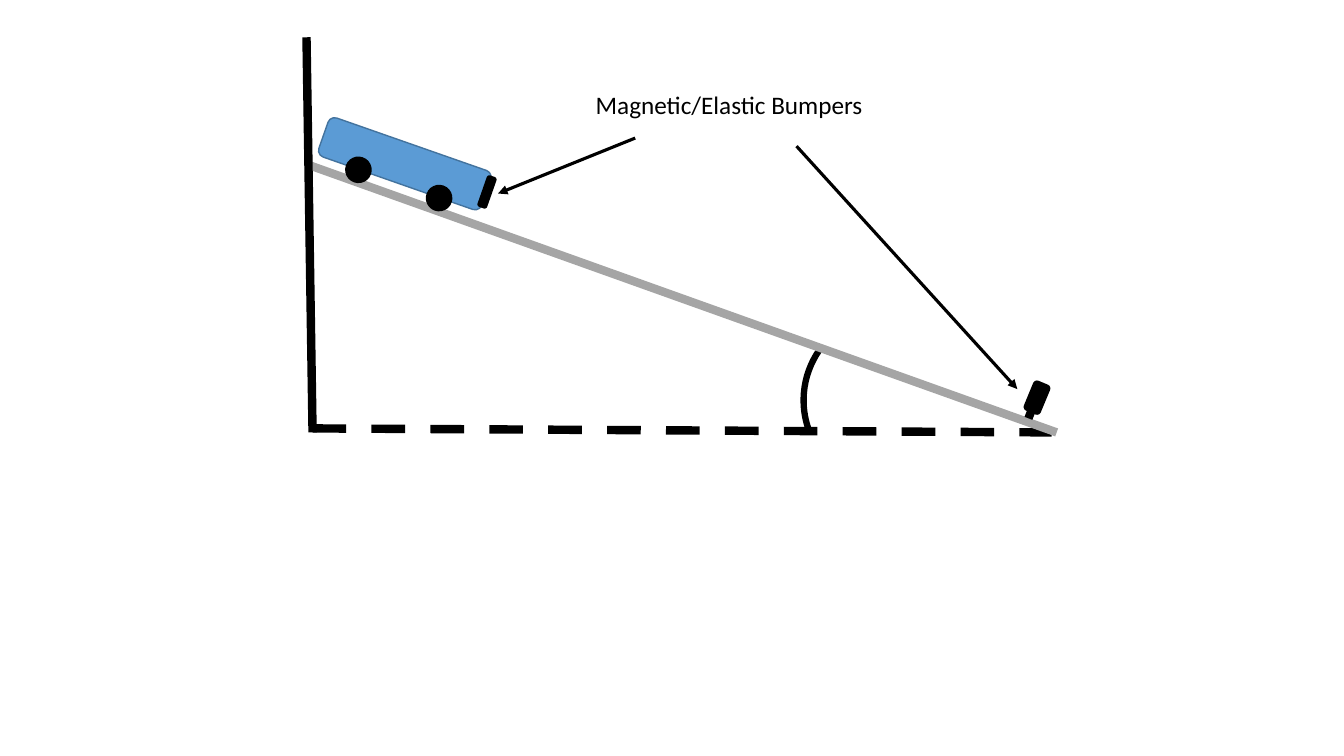
from dataclasses import dataclass

from lxml import etree
from pptx import Presentation
from pptx.dml.color import RGBColor
from pptx.enum.dml import MSO_LINE
from pptx.enum.shapes import MSO_CONNECTOR, MSO_SHAPE
from pptx.oxml.ns import qn
from pptx.util import Inches, Pt

ARC, OVAL, ROUNDED = MSO_SHAPE.ARC, MSO_SHAPE.OVAL, MSO_SHAPE.ROUNDED_RECTANGLE
STRAIGHT, DASH = MSO_CONNECTOR.STRAIGHT, MSO_LINE.DASH


@dataclass(frozen=True)
class Theme:
    black: RGBColor = RGBColor(0, 0, 0)
    ramp: RGBColor = RGBColor(0xA5, 0xA5, 0xA5)
    car: RGBColor = RGBColor(0x5B, 0x9B, 0xD5)
    car_edge: RGBColor = RGBColor(0x43, 0x73, 0x9E)
    font: str = "Calibri"
    label_size: float = 18
    thin: float = 1
    medium: float = 2.25
    arc: float = 4.5
    thick: float = 6


THEME = Theme()
CAR_TILT = 19.3


def set_line(line, color, width):
    line.color.rgb = color
    line.width = Pt(width)


def add_body(shapes, kind, at, rotation, fill, edge, width):
    """Add a rotated preset shape; a fill of None leaves it open."""
    shape = shapes.add_shape(kind, *map(Inches, at))
    shape.shadow.inherit = False
    shape.rotation = rotation
    if fill is None:
        shape.fill.background()
    else:
        shape.fill.solid()
        shape.fill.fore_color.rgb = fill
    set_line(shape.line, edge, width)
    return shape


def add_line(shapes, start, end, color, width, dash=None, arrow=False):
    line = shapes.add_connector(STRAIGHT, *map(Inches, start + end))
    set_line(line.line, color, width)
    if dash is not None:
        line.line.dash_style = dash
    if arrow:
        tail = etree.SubElement(line.line._get_or_add_ln(), qn("a:tailEnd"))
        tail.set("type", "triangle")
    etree.SubElement(line._element.spPr, qn("a:effectLst"))


def add_label(shapes, text, at):
    box = shapes.add_textbox(*map(Inches, at))
    box.text_frame.word_wrap = True
    para = box.text_frame.paragraphs[0]
    span = para.add_run()
    span.text = text
    span.font.color.rgb = THEME.black
    for name, value in {"name": THEME.font, "size": Pt(THEME.label_size)}.items():
        setattr(span.font, name, value)


def add_car(shapes):
    parts = shapes.add_group_shape().shapes
    add_body(parts, ROUNDED, (3.16, 1.42, 1.71, 0.41), CAR_TILT,
             THEME.car, THEME.car_edge, THEME.thin)
    for left, top in ((3.43, 1.56), (4.23, 1.84)):
        add_body(parts, OVAL, (left, top, 0.25, 0.25), CAR_TILT,
                 THEME.black, THEME.black, THEME.thin)
    add_body(parts, ROUNDED, (4.68, 1.87, 0.3, 0.07), CAR_TILT + 90,
             THEME.black, THEME.black, THEME.medium)


def main():
    deck = Presentation()
    deck.slide_width, deck.slide_height = Inches(13.33), Inches(7.5)
    page = deck.slides.add_slide(deck.slide_layouts[6])
    shapes = page.shapes

    # Angle mark, floor, ramp and wall
    angle = add_body(shapes, ARC, (7.97, 3.1, 1.74, 1.74), 237.3,
                     None, THEME.black, THEME.arc)
    angle.adjustments[0], angle.adjustments[1] = 169.23, 202.29
    add_line(shapes, (3.1, 4.25), (10.43, 4.29), THEME.black, THEME.thick, dash=DASH)
    add_line(shapes, (3.07, 1.64), (10.48, 4.29), THEME.ramp, THEME.thick)
    add_line(shapes, (3.04, 0.37), (3.1, 4.29), THEME.black, THEME.thick)

    # Car with its bumper
    add_car(shapes)

    # Bumper at the foot of the ramp, on its post
    add_body(shapes, ROUNDED, (10.14, 3.87, 0.29, 0.15), 112.5,
             THEME.black, THEME.black, THEME.medium)
    add_line(shapes, (10.26, 4), (10.2, 4.15), THEME.black, THEME.thick)

    # Label and its arrows
    for start, end in (((6.3, 1.37), (4.94, 1.92)), ((7.9, 1.45), (10.09, 3.86))):
        add_line(shapes, start, end, THEME.black, THEME.medium, arrow=True)
    add_label(shapes, "Magnetic/Elastic Bumpers", (5.81, 0.84, 3.96, 0.4))

    deck.save("out.pptx")


if __name__ == "__main__":
    main()
